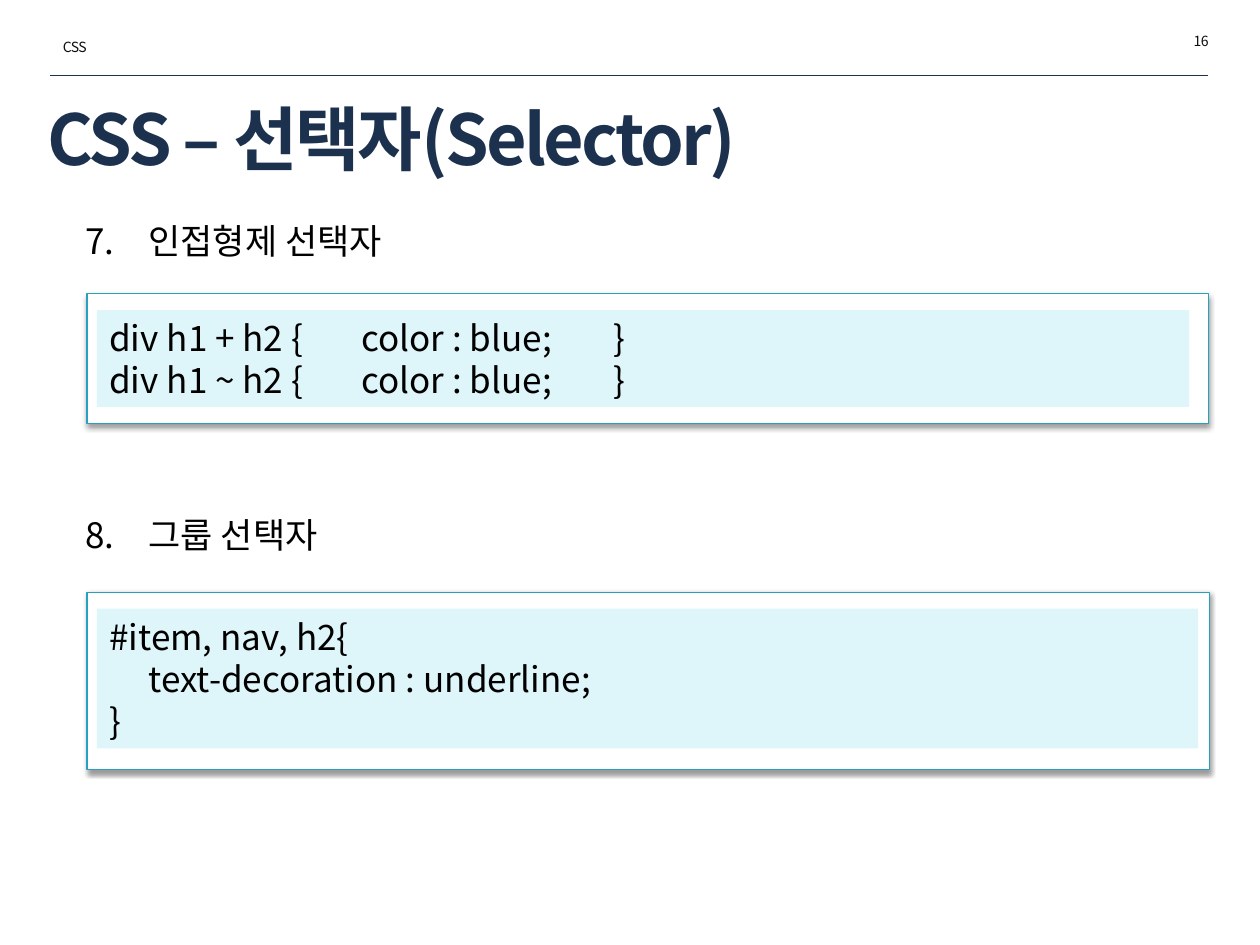
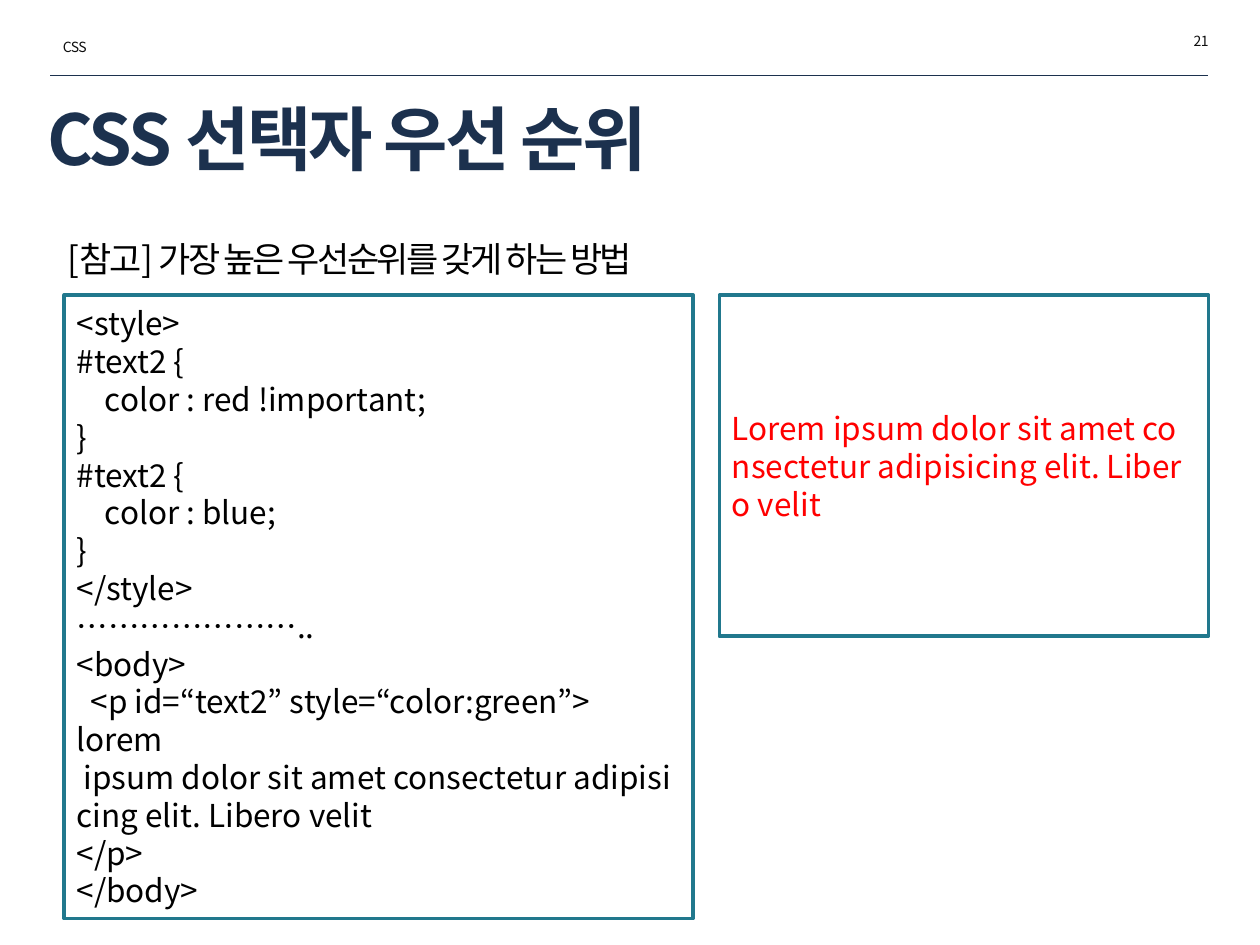
from pptx import Presentation
from pptx.dml.color import RGBColor as RGB
from pptx.enum.shapes import MSO_CONNECTOR as LINE, MSO_SHAPE as SHAPE
from pptx.enum.text import MSO_ANCHOR as ANCHOR, PP_ALIGN as ALIGN
from pptx.oxml import parse_xml
from pptx.oxml.ns import nsdecls
from pptx.util import Pt

FONT = "Noto Sans CJK KR"
NAVY = RGB(0x1C, 0x31, 0x4E)
INK = RGB(0x0D, 0x0D, 0x0D)
BLACK = RGB(0, 0, 0)
RED = RGB(0xFF, 0, 0)
WHITE = RGB(0xFF, 0xFF, 0xFF)
PALE = RGB(0xDE, 0xF5, 0xFA)
CYAN = RGB(0x28, 0xA1, 0xBE)
TEAL = RGB(0x21, 0x78, 0x8D)

LEFT, RIGHT = 28.8, 690.5
TITLE = {"size": Pt(40), "bold": True, "color": NAVY, "track": -150}
SMALL = {"size": Pt(8), "color": INK, "track": -30}
BODY = {"size": Pt(20), "color": BLACK}
TIGHT = BODY | {"track": -150}
CODE = {"size": Pt(18), "color": BLACK}
RESULT = CODE | {"color": RED}


def xml(tag, attrs="", inner=""):
    return parse_xml(f"<a:{tag} {nsdecls('a')} {attrs}>{inner}</a:{tag}>")


def style(run, look):
    for name, value in look.items():
        if name == "color":
            run.font.color.rgb = value
        elif name == "track":
            run.font._element.set("spc", str(value))
        else:
            setattr(run.font, name, value)
    run.font.name = FONT
    run.font._element.append(xml("ea", f'typeface="{FONT}"'))


def write(shape, lines, look, anchor=ANCHOR.TOP, align=ALIGN.LEFT):
    """Fill a shape; a line is text or (text, left margin, first-line indent)."""
    frame = shape.text_frame
    frame.word_wrap = True
    frame.vertical_anchor = anchor
    for i, line in enumerate(lines):
        text, margin, indent = (line, 0, 0) if isinstance(line, str) else line
        para = frame.paragraphs[0] if i == 0 else frame.add_paragraph()
        para.alignment = align
        props = para._p.get_or_add_pPr()
        props.set("marL", str(Pt(margin)))
        props.set("indent", str(Pt(indent)))
        run = para.add_run()
        run.text = text
        style(run, look)
    return frame.paragraphs


def label(slide, box, text, look, **place):
    shape = slide.shapes.add_textbox(*map(Pt, box))
    return write(shape, [text], look, **place)[0]


def rect(slide, box, fill=None, line=None, width=0):
    shape = slide.shapes.add_shape(SHAPE.RECTANGLE, *map(Pt, box))
    shape.shadow.inherit = False
    if fill is None:
        shape.fill.background()
    else:
        shape.fill.solid()
        shape.fill.fore_color.rgb = fill
    if line is None:
        shape.line.fill.background()
    else:
        shape.line.color.rgb = line
        shape.line.width = Pt(width)
    return shape


def frame(deck, title, number):
    """Add a slide with its header, rule and title."""
    slide = deck.slides.add_slide(deck.slide_layouts[6])
    rule = slide.shapes.add_connector(
        LINE.STRAIGHT, Pt(LEFT), Pt(43.2), Pt(RIGHT), Pt(43.2))
    rule.line.color.rgb = NAVY
    rule.line.width = Pt(0.25)
    rule._element.spPr.append(xml("effectLst"))
    label(slide, (20.2, 55.4, 666.7, 46.1), title, TITLE, anchor=ANCHOR.MIDDLE)
    label(slide, (573.1, 15.1, 124.6, 17.3), number, SMALL, align=ALIGN.RIGHT)
    label(slide, (LEFT, 18.7, 124.6, 17.3), "CSS", SMALL)
    return slide


def topic(slide, top, number, text):
    para = label(slide, (LEFT, top, 650.9, 32), (text, 49, -36), BODY)
    para._p.pPr.append(
        xml("buAutoNum", f'type="arabicPeriod" startAt="{number}"'))


def panel(slide, box, inner, lines, tabs=()):
    """Shadowed card with a tinted code block of the inner (width, height)."""
    card = rect(slide, box, WHITE, CYAN, 0.75)
    shade = '<a:srgbClr val="000000"><a:alpha val="38000"/></a:srgbClr>'
    card._element.spPr.find(xml("effectLst").tag).append(
        xml("outerShdw", f'blurRad="{Pt(3.1)}" dist="{Pt(1.6)}" '
            'dir="5400000" rotWithShape="0"', shade))
    code = rect(slide, (box[0] + 5.7, box[1] + 9.4, *inner), PALE)
    stops = "".join(f'<a:tab pos="{Pt(tab)}" algn="l"/>' for tab in tabs)
    for para in write(code, lines, BODY, ANCHOR.MIDDLE):
        if tabs:
            para._p.pPr.append(xml("tabLst", inner=stops))


def selectors(deck):
    slide = frame(deck, "CSS – 선택자(Selector)", "16")
    topic(slide, 121.7, 7, "인접형제 선택자")
    panel(slide, (49.7, 167.8, 640.8, 74.2), (624.2, 55.4),
          [f"div h1 {sign} h2 {{\tcolor : blue;\t}}" for sign in "+~"],
          (124.5, 246.8))
    topic(slide, 289.7, 8, "그룹 선택자")
    panel(slide, (49.7, 338.4, 641.5, 101.5), (629.3, 79.9),
          ["#item, nav, h2{", ("text-decoration : underline;", 22.4, 0), "}"])


def priority(deck):
    slide = frame(deck, "CSS 선택자 우선 순위", "21")
    note = label(slide, (LEFT, 120.2, 661.7, 46.1),
                 ("[참고] 가장 높은 우선순위를 갖게 하는 방법", 2.9, 0), TIGHT)
    note.line_spacing = 1.5
    hard = chr(160)  # no-break space
    tail = "ipsum dolor sit amet consectetur adipisicing elit. Libero velit"
    tail = hard + tail.replace(" ", hard)
    code = [
        "<style>",
        "#text2 {", ("color : red !important;", 16.1, 0), "}",
        "#text2 {", ("color : blue;", 16.1, 0), "}",
        "</style>",
        "…………………..",
        "<body>",
        ("<p id=“text2” style=“color:green”> lorem " + tail, 0, 8),
        "</p>",
        "</body>",
    ]
    top = 168.5
    source = rect(slide, (36.7, top, 359.3, 356.4), line=TEAL, width=2)
    write(source, code, CODE, ANCHOR.MIDDLE)
    output = rect(slide, (411.1, top, 279.4, 195.1), line=TEAL, width=2)
    write(output, ["Lorem" + tail], RESULT, ANCHOR.MIDDLE, ALIGN.JUSTIFY)


def main():
    deck = Presentation()
    deck.slide_width, deck.slide_height = Pt(720), Pt(540)
    selectors(deck)
    priority(deck)
    deck.save("out.pptx")


if __name__ == "__main__":
    main()
